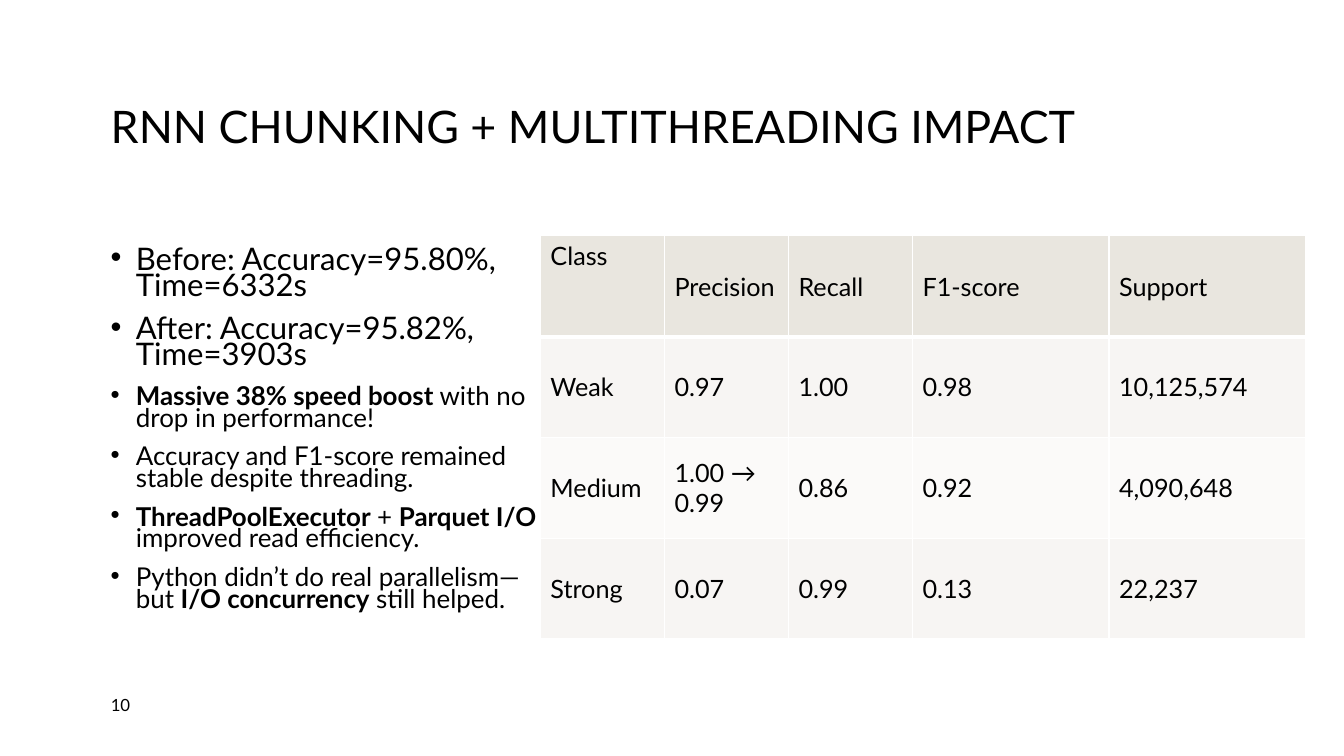
from lxml.etree import SubElement
from pptx import Presentation
from pptx.dml.color import RGBColor
from pptx.enum.text import MSO_ANCHOR as Anchor
from pptx.oxml.ns import qn
from pptx.util import Inches, Pt

# Content
TITLE = "RNN CHUNKING + MULTITHREADING IMPACT"
PAGE_NUMBER = "10"
# Each finding: size, then (text, bold) parts
FINDINGS = [
    (22.2, [("Before: Accuracy=95.80%, Time=6332s", False)]),
    (22.2, [("After: Accuracy=95.82%, Time=3903s", False)]),
    (18.5, [("Massive 38% speed boost", True),
            (" with no drop in performance!", False)]),
    (18.5, [("Accuracy and F1-score remained stable despite threading.", False)]),
    (18.5, [("ThreadPoolExecutor", True), (" + ", False),
            ("Parquet I/O", True), (" improved read efficiency.", False)]),
    (18.5, [("Python didn’t do real parallelism—but ", False),
            ("I/O concurrency", True), (" still helped.", False)]),
]
SCORES = [
    ("Class", "Precision", "Recall", "F1-score", "Support"),
    ("Weak", "0.97", "1.00", "0.98", "10,125,574"),
    ("Medium", "1.00 → 0.99", "0.86", "0.92", "4,090,648"),
    ("Strong", "0.07", "0.99", "0.13", "22,237"),
]
COLUMN_WIDTHS = [1.23, 1.23, 1.23, 1.95, 1.95]
ROW_HEIGHT = 1.0

# Style
FONT = "Lato"
BLACK = RGBColor(0x00, 0x00, 0x00)
WHITE = RGBColor(0xFF, 0xFF, 0xFF)
HEADER_FILL = RGBColor(0xE9, 0xE6, 0xDF)
BAND_FILLS = [RGBColor(0xFB, 0xFA, 0xF9), RGBColor(0xF7, 0xF5, 0xF3)]


def style(paragraph, size):
    paragraph.font.name = FONT
    paragraph.font.size = Pt(size)
    paragraph.font.color.rgb = BLACK


def add_text_frame(slide, left, top, width, height, anchor):
    box = slide.shapes.add_textbox(
        Inches(left), Inches(top), Inches(width), Inches(height))
    frame = box.text_frame
    frame.word_wrap = True
    frame.vertical_anchor = anchor
    return frame


def add_bullet(paragraph):
    properties = paragraph._p.get_or_add_pPr()
    properties.set("marL", str(Inches(0.25)))
    properties.set("indent", str(-Inches(0.25)))
    SubElement(properties, qn("a:buFont"), typeface="Arial")
    SubElement(properties, qn("a:buChar"), char="•")


def add_borders(cell, widths):
    properties = cell._tc.get_or_add_tcPr()
    for side, width in widths.items():
        line = SubElement(properties, qn(f"a:ln{side}"), w=str(Pt(width)))
        fill = SubElement(line, qn("a:solidFill"))
        SubElement(fill, qn("a:srgbClr"), val=str(WHITE))


def add_heading(slide):
    frame = add_text_frame(slide, 1, 0.4, 11.33, 1.75, Anchor.MIDDLE)
    heading = frame.paragraphs[0]
    heading.text = TITLE
    heading.line_spacing = 0.9
    style(heading, 32)


def add_findings(slide):
    frame = add_text_frame(slide, 1, 2.43, 4.53, 4.06, Anchor.TOP)
    for index, (size, parts) in enumerate(FINDINGS):
        finding = frame.add_paragraph() if index else frame.paragraphs[0]
        finding.line_spacing = 0.7
        finding.space_after = Pt(12)
        add_bullet(finding)
        style(finding, size)
        for text, bold in parts:
            run = finding.add_run()
            run.text = text
            run.font.bold = bold


def add_scores(slide):
    scores = slide.shapes.add_table(
        len(SCORES), len(COLUMN_WIDTHS), Inches(5.36), Inches(2.34),
        Inches(sum(COLUMN_WIDTHS)), Inches(ROW_HEIGHT * len(SCORES))).table
    for column, width in zip(scores.columns, COLUMN_WIDTHS):
        column.width = Inches(width)
    for r, values in enumerate(SCORES):
        for c, value in enumerate(values):
            cell = scores.cell(r, c)
            cell.text = value
            style(cell.text_frame.paragraphs[0], 18)
            # Only the corner label sits at the top of its cell
            cell.vertical_anchor = Anchor.MIDDLE if r or c else Anchor.TOP
            # A thicker rule separates the header from the body
            add_borders(cell, {"L": 1, "R": 1, "T": 3 if r == 1 else 1,
                               "B": 3 if r == 0 else 1})
            cell.fill.solid()
            cell.fill.fore_color.rgb = BAND_FILLS[r % 2] if r else HEADER_FILL


def add_page_number(slide):
    frame = add_text_frame(slide, 1, 6.83, 0.69, 0.32, Anchor.MIDDLE)
    frame.text = PAGE_NUMBER
    style(frame.paragraphs[0], 12)


def main():
    deck = Presentation()
    deck.slide_width, deck.slide_height = Inches(13.33), Inches(7.5)
    slide = deck.slides.add_slide(deck.slide_layouts[6])
    add_heading(slide)
    add_findings(slide)
    add_scores(slide)
    add_page_number(slide)
    deck.save("out.pptx")


if __name__ == "__main__":
    main()
